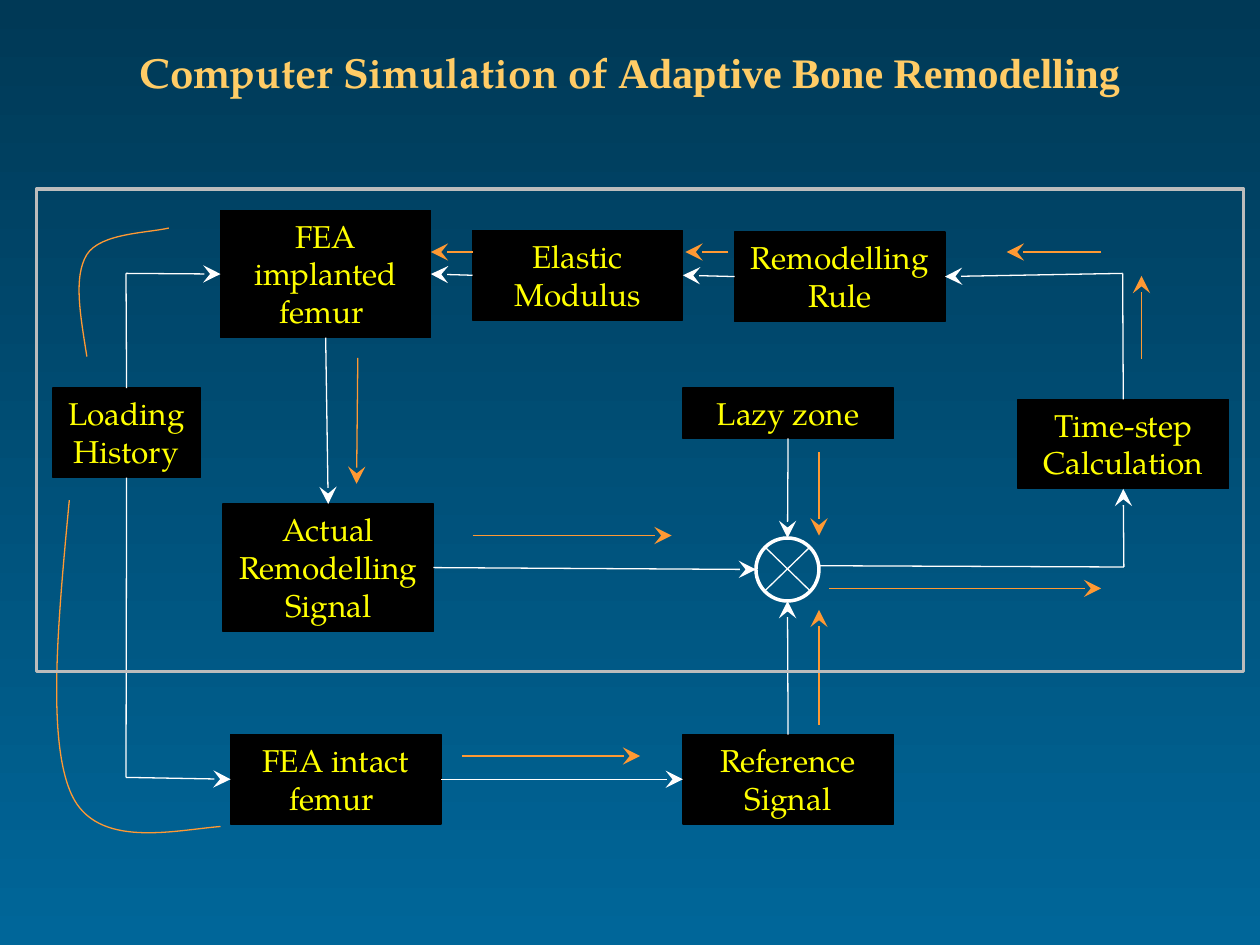
"""Build the adaptive bone remodelling flow diagram slide."""
import pptx
import pptx.dml.color
import pptx.enum.shapes
import pptx.enum.text
import pptx.oxml
import pptx.oxml.ns
import pptx.util

Inches = pptx.util.Inches
SHAPE = pptx.enum.shapes.MSO_SHAPE
ANCHOR = pptx.enum.text.MSO_ANCHOR
FONT = "TeX Gyre Pagella"
WHITE, ORANGE, YELLOW, GOLD = "FFFFFF", "FF9933", "FFFF00", "FFCC66"
BLACK, GREY = "000000", "BCBCBC"
TOP, LEFT, BOTTOM, RIGHT = range(4)

TITLE = [("Computer Simulation of ", FONT),
         ("Adaptive Bone Remodelling", "Times New Roman")]
BACKGROUND = ["003956", "006699"]
BOXES = {
    "implanted": ("FEA implanted femur ", 1.75, 1.67, 1.67, 1.01),
    "loading": ("Loading History", 0.42, 3.08, 1.17, 0.71),
    "actual": ("Actual Remodelling Signal", 1.77, 4, 1.67, 1.01),
    "intact": ("FEA intact femur ", 1.83, 5.83, 1.67, 0.71),
    "reference": ("Reference Signal", 5.42, 5.83, 1.67, 0.71),
    "lazy": ("Lazy zone", 5.42, 3.08, 1.67, 0.4),
    "step": ("Time-step Calculation", 8.08, 3.17, 1.67, 0.71),
    "rule": ("Remodelling Rule", 5.83, 1.84, 1.67, 0.71),
    "elastic": ("Elastic Modulus", 3.75, 1.83, 1.67, 0.71),
}
COMPARATOR = (6, 4.27, 0.5, 0.5)
FRAME = (0.29, 1.5, 9.58, 3.83)
FLOWS = [
    (("loading", TOP), (1, 2.17), False),
    ((1, 2.17), ("implanted", LEFT), True),
    ((1, 6.17), ("loading", BOTTOM), False),
    ((1, 6.17), ("intact", LEFT), True),
    (("implanted", BOTTOM), ("actual", TOP), True),
    (("intact", RIGHT), ("reference", LEFT), True),
    ((6.07, 4.34), (6.43, 4.69), False),
    ((6.43, 4.34), (6.07, 4.69), False),
    (("lazy", BOTTOM), (6.25, 4.27), True),
    (("actual", RIGHT), (6, 4.52), True),
    (("reference", TOP), (6.25, 4.77), True),
    (("elastic", LEFT), ("implanted", RIGHT), True),
    (("rule", LEFT), ("elastic", RIGHT), True),
    (("step", TOP), (8.91, 2.17), False),
    ((8.92, 4.5), ("step", BOTTOM), True),
    ((6.5, 4.49), (8.92, 4.5), False),
    ((8.91, 2.17), ("rule", RIGHT), True),
]
CURVES = [
    [(0.69, 2.83), (0.64, 2.51), (0.58, 2.2), (0.69, 2.02),
     (0.8, 1.85), (1.17, 1.85), (1.34, 1.81)],
    [(0.55, 3.97), (0.46, 4.93), (0.37, 5.88), (0.57, 6.31),
     (0.77, 6.74), (1.38, 6.59), (1.75, 6.56)],
]
HINTS = [
    ((3.75, 4.25), (5.33, 4.25)), ((6.5, 3.59), (6.5, 4.25)),
    ((6.5, 5.75), (6.5, 4.84)), ((2.84, 2.84), (2.83, 3.84)),
    ((3.67, 6), (5.08, 6)), ((8.74, 2), (7.99, 2)),
    ((5.78, 2), (5.44, 2)), ((3.75, 2), (3.42, 2)),
    ((6.58, 4.67), (8.74, 4.67)), ((9.06, 2.85), (9.06, 2.19)),
]


def rgb(color):
    return pptx.dml.color.RGBColor.from_string(color)


def sub(parent, tag, **attrs):
    el = pptx.oxml.parse_xml(f"<{tag} {pptx.oxml.ns.nsdecls('a')}/>")
    for key, value in attrs.items():
        el.set(key, value)
    parent.append(el)
    return el


def outline(sp, color, width=0.75):
    sp.line.color.rgb = rgb(color)
    sp.line.width = pptx.util.Pt(width)


def write(sp, runs, size, color, anchor, bold=False):
    tf = sp.text_frame
    tf.word_wrap = True
    tf.vertical_anchor = anchor
    p = tf.paragraphs[0]
    p.alignment = pptx.enum.text.PP_ALIGN.CENTER
    for text, font in runs:
        r = p.add_run()
        r.text = text
        r.font.name, r.font.size, r.font.bold = font, pptx.util.Pt(size), bold
        r.font.color.rgb = rgb(color)


def add_shape(s, kind, at, color, width=0.75, fill=None):
    sp = s.shapes.add_shape(kind, *map(Inches, at))
    sp.shadow.inherit = False
    if fill:
        sp.fill.solid()
        sp.fill.fore_color.rgb = rgb(fill)
    else:
        sp.fill.background()
    outline(sp, color, width)
    return sp


def add_line(s, start, end, color, arrow, boxes):
    points = [(0, 0) if pt[0] in boxes else pt for pt in (start, end)]
    straight = pptx.enum.shapes.MSO_CONNECTOR.STRAIGHT
    sp = s.shapes.add_connector(straight, *[Inches(v) for pt in points for v in pt])
    for pt, connect in ((start, sp.begin_connect), (end, sp.end_connect)):
        if pt[0] in boxes:
            connect(boxes[pt[0]], pt[1])
    outline(sp, color)
    if arrow:
        sub(sp.line._get_or_add_ln(), "a:tailEnd", type="stealth", w="lg", len="lg")
    sub(sp._element.spPr, "a:effectLst")


def add_curve(s, points):
    fb = s.shapes.build_freeform(*points[0], scale=Inches(1) / 1.0)
    fb = s.shapes.build_freeform(*map(Inches, points[0]))
    fb.add_line_segments([tuple(map(Inches, pt)) for pt in points[1:]], close=False)
    sp = fb.convert_to_shape()
    sp.shadow.inherit = False
    sp.fill.background()
    outline(sp, ORANGE)
    segments = sp._element.findall(".//" + pptx.oxml.ns.qn("a:lnTo"))
    outline_el = segments[0].getparent()
    for i in range(0, len(segments), 3):
        cubic = sub(outline_el, "a:cubicBezTo")
        for segment in segments[i:i + 3]:
            cubic.append(segment[0])
            outline_el.remove(segment)


def main():
    prs = pptx.Presentation()
    prs.slide_width, prs.slide_height = Inches(10), Inches(7.5)
    s = prs.slides.add_slide(prs.slide_layouts[6])
    fill = s.background.fill
    fill.gradient()
    fill.gradient_angle = 270
    for stop, color in zip(fill.gradient_stops, BACKGROUND):
        stop.color.rgb = rgb(color)

    title = s.shapes.add_textbox(*map(Inches, (0.5, -0.06, 9, 1.25)))
    write(title, TITLE, 24, GOLD, ANCHOR.MIDDLE, bold=True)

    boxes = {}
    for name, (text, *at) in BOXES.items():
        boxes[name] = add_shape(s, SHAPE.RECTANGLE, at, BLACK, fill=BLACK)
        write(boxes[name], [(text, FONT)], 18, YELLOW, ANCHOR.TOP)

    add_shape(s, SHAPE.OVAL, COMPARATOR, WHITE, 2)
    for start, end, arrow in FLOWS:
        add_line(s, start, end, WHITE, arrow, boxes)
    for points in CURVES:
        add_curve(s, points)
    for start, end in HINTS:
        add_line(s, start, end, ORANGE, True, boxes)
    add_shape(s, SHAPE.RECTANGLE, FRAME, GREY, 2)
    prs.save("out.pptx")


if __name__ == "__main__":
    main()
